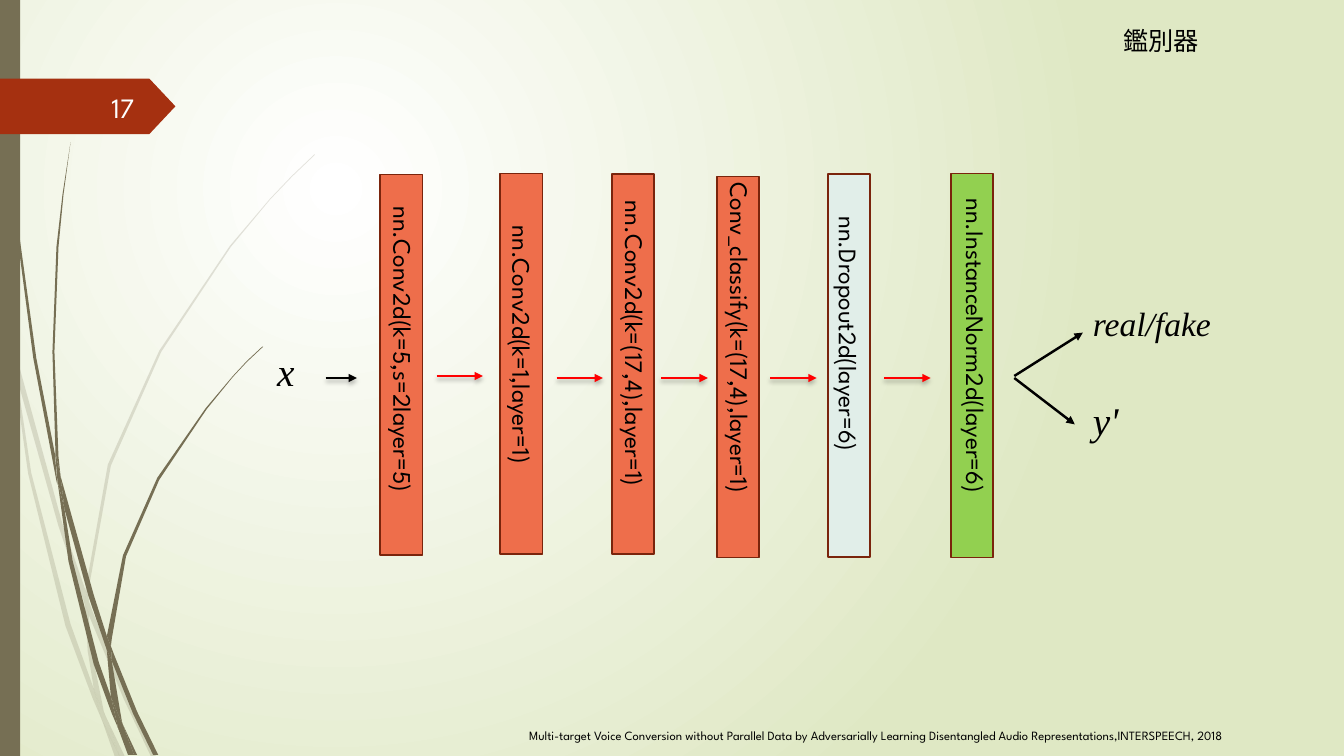
from dataclasses import dataclass

from lxml.etree import SubElement as Sub
from pptx import Presentation
from pptx.dml.color import RGBColor as Rgb
from pptx.enum.shapes import MSO_CONNECTOR as Link, MSO_SHAPE as Kind
from pptx.enum.text import MSO_ANCHOR as Anchor, MSO_AUTO_SIZE as Fit, PP_ALIGN as Align
from pptx.oxml.ns import qn
from pptx.util import Inches, Pt


@dataclass(frozen=True)
class Theme:
    sans: str = "League Spartan"
    serif: str = "Times New Roman"
    ink: str = "000000"
    white: str = "FFFFFF"
    pale: str = "DFE8C4"
    olive: str = "766F54"
    rust: str = "A53010"
    edge: str = "7A240C"
    conv: str = "EE6E4B"
    drop: str = "E1EEE9"
    norm: str = "92D050"
    red: str = "FF0000"
    number: str = "FEFFFF"
    note: int = 9
    body: int = 18
    page: int = 20
    label: int = 24
    symbol: int = 28


T = Theme()
WIDE, HIGH = 13.33, 7.5
BAR = 0.42
MID = 3.75

# Grass blades, each an outline of (x, y) corners.
PALE_BLADES = [
    [(0.11, 3.5), (0.09, 3.22), (0, 2.82), (0, 2.99), (0.1, 3.44)],
    [(0.58, 5.22), (0.84, 5.99), (0.85, 5.86), (0.62, 5.2), (0.14, 3.45), (0.17, 3.76)],
    [(0.92, 6.07), (0.88, 5.96), (0.88, 6.1), (1.23, 6.94), (1.5, 7.51), (1.55, 7.51), (1.27, 6.92)],
    [(1.19, 7.51), (1.24, 7.51), (1.05, 7.11)],
    [(0.93, 6.83), (0.7, 6.19), (0.31, 4.69), (0.17, 3.76), (0.11, 3.5), (0.28, 4.7), (0.65, 6.21),
     (0.92, 6.93), (1.01, 7.14), (0.99, 7.07)],
    [(0.84, 5.99), (0.87, 6.46), (0.93, 6.83), (0.96, 6.92), (1.05, 7.11), (1.03, 7.06), (0.91, 6.46),
     (0.88, 6.1), (0.88, 6.08)],
    [(0.88, 5.84), (1.1, 4.62), (1.6, 3.49), (2.29, 2.45), (2.68, 1.98), (2.9, 1.75), (3.12, 1.54),
     (3.12, 1.53), (2.89, 1.75), (2.68, 1.97), (2.28, 2.44), (1.58, 3.48), (1.07, 4.61), (0.85, 5.84),
     (0.85, 5.86), (0.88, 5.96)],
    [(1.01, 7.14), (1.14, 7.51), (1.19, 7.51)],
    [(0.88, 6.08), (0.88, 6.1), (0.88, 5.96), (0.85, 5.86), (0.84, 5.99)],
    [(0.96, 6.92), (0.93, 6.83), (0.99, 7.07), (1.01, 7.14), (1.19, 7.51), (1.05, 7.11)],
]
DARK_BLADES = [
    [(0.07, 1.1), (0.17, 2.33), (0.33, 3.55), (0.56, 4.77), (0.57, 4.81), (0.55, 4.57), (0.55, 4.53),
     (0.36, 3.55), (0.19, 2.32), (0.08, 1.09), (0.05, 0.48), (0.04, 0), (0.03, 0), (0.04, 0.48)],
    [(0.88, 5.92), (1.06, 6.45), (1.06, 6.33), (1.06, 6.31), (0.93, 5.9), (0.6, 4.72), (0.64, 5.05)],
    [(1.13, 6.49), (1.1, 6.41), (1.11, 6.56), (1.32, 7.08), (1.52, 7.49), (1.57, 7.49), (1.36, 7.06)],
    [(1.1, 6.91), (0.98, 6.57), (0.72, 5.56), (0.64, 5.05), (0.57, 4.77), (0.68, 5.57), (0.93, 6.59),
     (1.11, 7.08), (1.17, 7.22), (1.16, 7.17)],
    [(0.6, 4.72), (0.58, 4.53), (0.54, 3.49), (0.58, 2.45), (0.63, 1.93), (0.7, 1.41), (0.62, 1.93),
     (0.56, 2.45), (0.52, 3.49), (0.55, 4.49)],
    [(1.33, 7.49), (1.36, 7.49), (1.22, 7.19)],
    [(0.57, 4.77), (0.64, 5.05), (0.6, 4.72), (0.55, 4.49), (0.55, 4.53)],
    [(1.11, 6.33), (1.25, 5.52), (1.58, 4.76), (2.05, 4.06), (2.31, 3.74), (2.45, 3.59), (2.61, 3.44),
     (2.6, 3.44), (2.45, 3.58), (2.31, 3.73), (2.04, 4.05), (1.56, 4.74), (1.22, 5.51), (1.06, 6.31),
     (1.1, 6.41)],
    [(1.17, 7.22), (1.27, 7.49), (1.31, 7.49)],
    [(1.06, 6.45), (1.1, 6.91), (1.16, 7.06), (1.22, 7.19), (1.21, 7.16), (1.11, 6.56), (1.09, 6.51)],
    [(1.06, 6.45), (1.09, 6.51), (1.11, 6.56), (1.1, 6.41), (1.06, 6.31), (1.06, 6.33)],
    [(1.16, 7.06), (1.1, 6.91), (1.16, 7.17), (1.17, 7.22), (1.3, 7.49), (1.33, 7.49), (1.22, 7.19)],
]

# left, top, height, fill, label, label length, label centre
LAYERS = [
    (3.77, 1.73, 3.78, T.conv, "nn.Conv2d(k=5,s=2layer=5)", 3.52, 4, 3.71),
    (4.96, 1.72, 3.78, T.conv, "nn.Conv2d(k=1,layer=1)", 3.12, 5.18, 3.7),
    (6.07, 1.73, 3.77, T.conv, "nn.Conv2d(k=(17,4),layer=1)", 3.63, 6.3, 3.71),
    (7.11, 1.75, 3.78, T.conv, "Conv_classify(k=(17,4),layer=1)", 3.95, 7.34, 3.69),
    (8.21, 1.73, 3.8, T.drop, "nn.Dropout2d(layer=6)", 3.14, 8.42, 3.62),
    (9.43, 1.72, 3.81, T.norm, "nn.InstanceNorm2d(layer=6)", 3.66, 9.68, 3.7),
]
FLOWS = [(4.33, 3.73), (5.52, MID), (6.56, MID), (7.64, MID), (8.77, MID)]


class Page:
    def __init__(self, deck, theme):
        self.theme = theme
        self.slide = deck.slides.add_slide(deck.slide_layouts[5])
        self.shapes = self.slide.shapes

    def glow(self):
        """Radial background, white in the upper left."""
        fill = self.slide.background.fill
        fill.gradient()
        for stop, tint, pos in zip(fill.gradient_stops, (self.theme.white, self.theme.pale), (0, 1)):
            stop.color.rgb = Rgb.from_string(tint)
            stop.position = pos
        grad = self.slide.background._cSld.find(".//" + qn("a:gradFill"))
        ring = Sub(grad, qn("a:path"), {"path": "circle"})
        Sub(ring, qn("a:fillToRect"), dict(l="50000", t="50000", r="100000", b="100000"))
        grad.replace(grad.find(qn("a:lin")), ring)

    def paint(self, shape, fill, line=None, alpha=None):
        shape.shadow.inherit = False
        shape.fill.solid()
        shape.fill.fore_color.rgb = Rgb.from_string(fill)
        if alpha:
            tint = shape._element.spPr.find(qn("a:solidFill"))[0]
            Sub(tint, qn("a:alpha"), val=str(alpha * 1000))
        if line:
            shape.line.color.rgb = Rgb.from_string(line)
            shape.line.width = Pt(1.25)
        else:
            shape.line.fill.background()

    def blade(self, pts, alpha=None):
        ring = [(Inches(x), Inches(y)) for x, y in pts]
        form = self.shapes.build_freeform(*ring[0])
        form.add_line_segments(ring[1:])
        self.paint(form.convert_to_shape(), self.theme.olive, alpha=alpha)

    def block(self, kind, box, fill, line=None):
        shape = self.shapes.add_shape(kind, *map(Inches, box))
        self.paint(shape, fill, line)
        return shape

    def style(self, shape, text, size, font, color, italic=None, align=Align.LEFT):
        shape.text_frame.text = text
        para = shape.text_frame.paragraphs[0]
        para.alignment = align
        face = para.runs[0].font
        face.name, face.size, face.italic = font, Pt(size), italic
        face.color.rgb = Rgb.from_string(color)

    def text(self, box, text, size, font=None, color=None, wrap=True, turn=0, **more):
        shape = self.shapes.add_textbox(*map(Inches, box))
        shape.rotation = turn
        shape.text_frame.word_wrap = wrap
        if not wrap:
            shape.text_frame.auto_size = Fit.SHAPE_TO_FIT_TEXT
        self.style(shape, text, size, font or self.theme.sans, color or self.theme.ink, **more)
        return shape

    def math(self, box, text, size):
        self.text(box, text, size, self.theme.serif, wrap=False, italic=True)

    def title(self, box, text):
        shape = self.shapes.title
        shape.left, shape.top, shape.width, shape.height = map(Inches, box)
        frame = shape.text_frame
        frame.word_wrap, frame.auto_size = False, Fit.SHAPE_TO_FIT_TEXT
        frame.vertical_anchor = Anchor.TOP
        self.style(shape, text, self.theme.body, self.theme.sans, self.theme.ink)

    def arrow(self, start, end, color, shade=True):
        link = self.shapes.add_connector(Link.STRAIGHT, *map(Inches, (*start, *end)))
        link.line.color.rgb = Rgb.from_string(color)
        link.line.width = Pt(1.75)
        Sub(link.line._get_or_add_ln(), qn("a:tailEnd"), type="triangle")
        fx = Sub(link._element.spPr, qn("a:effectLst"))
        if shade:
            cast = Sub(fx, qn("a:outerShdw"), blurRad=str(Pt(3)), dist=str(Pt(2)), dir="5400000")
            tint = Sub(cast, qn("a:srgbClr"), val=self.theme.ink)
            Sub(tint, qn("a:alpha"), val="25000")


def main():
    deck = Presentation()
    deck.slide_width, deck.slide_height = Inches(WIDE), Inches(HIGH)
    page = Page(deck, T)
    page.glow()
    for blades, alpha in ((PALE_BLADES, 20), (DARK_BLADES, None)):
        for pts in blades:
            page.blade(pts, alpha)
    page.block(Kind.RECTANGLE, (0, 0, 0.2, HIGH), T.olive)
    page.block(Kind.PENTAGON, (0, 0.78, 1.74, 0.55), T.rust).adjustments[0] = 0.47
    page.title((11.04, 0.2, 0.96, 0.4), "鑑別器")
    num = page.text((0.58, 0.86, 0.85, 0.4), "17", T.page, color=T.number, align=Align.RIGHT)
    num.text_frame.vertical_anchor = Anchor.MIDDLE
    page.math((2.65, 3.4, 0.38, 0.57), "x", T.symbol)
    page.arrow((3.23, MID), (3.54, MID), T.ink)
    for left, top, high, fill, label, span, x, y in LAYERS:
        page.block(Kind.RECTANGLE, (left, top, BAR, high), fill, T.edge)
        page.text((x - span / 2, y - 0.2, span, 0.4), label, T.body, turn=90)
    for x, y in FLOWS:
        page.arrow((x, y), (x + 0.46, y), T.red)
    page.arrow((10.06, 3.73), (10.74, 3.3), T.ink, shade=False)
    page.arrow((10.06, MID), (10.66, 4.21), T.ink, shade=False)
    page.math((10.74, 2.96, 1.38, 0.5), "real/fake", T.label)
    page.math((10.74, 3.88, 0.46, 0.57), "y'", T.symbol)
    page.text((5.15, 7.17, 8.56, 0.25),
              "Multi-target Voice Conversion without Parallel Data by Adversarially Learning "
              "Disentangled Audio Representations,INTERSPEECH, 2018", T.note)
    deck.save("out.pptx")


if __name__ == "__main__":
    main()
